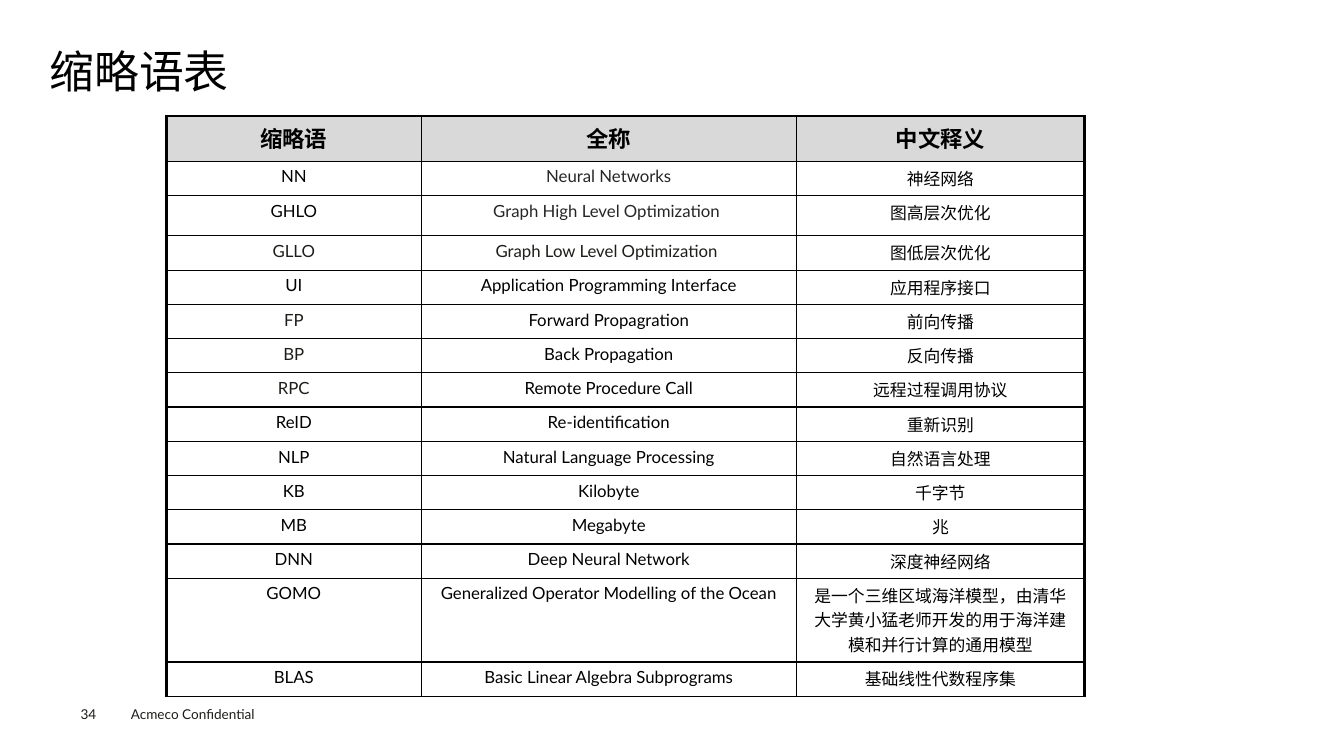
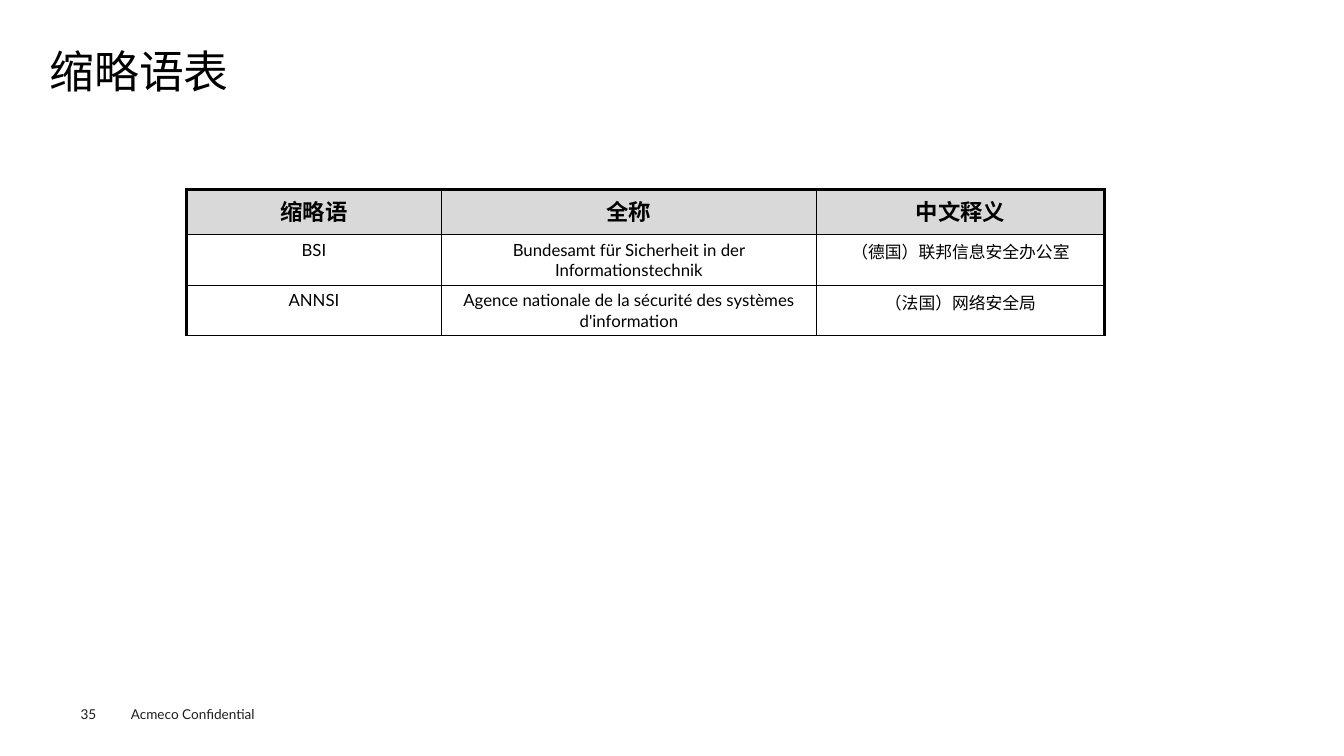
"""Build two slides that list abbreviations in bordered tables."""
from lxml import etree
from pptx import Presentation
from pptx import util as u
from pptx.dml.color import RGBColor
from pptx.enum import lang, text
from pptx.oxml.ns import qn

PX = 9144
FONT = "Lato"
COLORS = {"black": "000000", "dark": "1D1D1A", "gray": "262626",
          "foot": "1D1D1B", "head": "D9D9D9"}
TITLE = "缩略语表"
FOOTER = "Acmeco Confidential"
HEADS = ("缩略语", "全称", "中文释义")
COLS = (253, 372, 286)
LAST = len(COLS) - 1
HEAD_H = 45
THIN, THICK = 1, 2.25

PAGES = [
    (34, 165, 115, [
        (34, "NN", "Neural Networks", "神经网络"),
        (40, "GHLO", "Graph High Level Optimization ", "图高层次优化"),
        (34, "GLLO", "Graph Low Level Optimization ", "图低层次优化"),
        (34, "UI", "Application Programming Interface", "应用程序接口"),
        (34, "FP", "Forward Propagration", "前向传播"),
        (34, "BP", "Back Propagation", "反向传播"),
        (34, "RPC", "Remote Procedure Call", "远程过程调用协议"),
        (34, "ReID", "Re-identification", "重新识别"),
        (34, "NLP", "Natural Language Processing", "自然语言处理"),
        (34, "KB", "Kilobyte", "千字节"),
        (34, "MB", "Megabyte", "兆"),
        (34, "DNN", "Deep Neural Network", "深度神经网络"),
        (83, "GOMO", "Generalized Operator Modelling of the Ocean",
         "是一个三维区域海洋模型，由清华大学黄小猛老师开发的用于海洋建模和并行计算的通用模型"),
        (34, "BLAS", "Basic Linear Algebra Subprograms", "基础线性代数程序集"),
    ]),
    (35, 185, 188, [
        (50, "BSI", "Bundesamt für Sicherheit in der Informationstechnik",
         "（德国）联邦信息安全办公室"),
        (50, "ANNSI", "Agence nationale de la sécurité des systèmes d'information",
         "（法国）网络安全局"),
    ]),
]
TINTS = {"Neural Networks": "gray", "Graph High Level Optimization ": "gray",
         "GLLO": "dark", "Graph Low Level Optimization ": "dark",
         "FP": "dark", "BP": "dark", "RPC": "dark"}


def write(para, words, size, color, bold=False):
    run = para.add_run()
    run.text = words
    font = run.font
    font.name, font.size, font.bold = FONT, u.Pt(size), bold
    font.color.rgb = RGBColor.from_string(COLORS[color])
    font.language_id = lang.MSO_LANGUAGE_ID.SIMPLIFIED_CHINESE
    east = etree.SubElement(font._element, qn("a:ea"))
    east.set("typeface", FONT)


def edge(cell, side, width):
    line = etree.SubElement(cell._tc.get_or_add_tcPr(), qn("a:ln" + side))
    line.set("w", str(u.Pt(width)))
    fill = etree.SubElement(line, qn("a:solidFill"))
    etree.SubElement(fill, qn("a:srgbClr")).set("val", COLORS["black"])


deck = Presentation()
deck.slide_width, deck.slide_height = u.Emu(12192000), u.Emu(750 * PX)

for page, left, top, terms in PAGES:
    slide = deck.slides.add_slide(deck.slide_layouts[6])
    labels = [
        (FOOTER, (120, 695, 160, 27), 9.7, "foot", (10, 5), 1),
        (str(page), (80, 700, 55, 16), 9.7, "foot", (0, 0), 1),
        (TITLE, (49, 49, 1235, 54), 32, "black", (0, 0), 0.9),
    ]
    for words, place, size, color, inset, space in labels:
        frame = slide.shapes.add_textbox(*(n * PX for n in place)).text_frame
        frame.word_wrap = True
        frame.margin_left = frame.margin_right = inset[0] * PX
        frame.margin_top = frame.margin_bottom = inset[1] * PX
        para = frame.paragraphs[0]
        para.line_spacing = space
        write(para, words, size, color)

    rows = [(HEAD_H, *HEADS), *terms]
    high = sum(row[0] for row in rows)
    table = slide.shapes.add_table(len(rows), len(COLS), left * PX, top * PX,
                                   sum(COLS) * PX, high * PX).table
    table.first_row = table.horz_banding = False
    for col, wide in zip(table.columns, COLS):
        col.width = wide * PX
    for r, (tall, *words) in enumerate(rows):
        table.rows[r].height = tall * PX
        head = r == 0
        for c, word in enumerate(words):
            cell = table.cell(r, c)
            cell.margin_left = cell.margin_right = 10 * PX
            cell.margin_top = cell.margin_bottom = 5 * PX
            edge(cell, "L", THICK if c == 0 else THIN)
            edge(cell, "R", THICK if c == LAST else THIN)
            edge(cell, "T", THICK if head else THIN)
            edge(cell, "B", THIN)
            para = cell.text_frame.paragraphs[0]
            para.alignment = text.PP_ALIGN.CENTER
            if head:
                cell.fill.solid()
                cell.fill.fore_color.rgb = RGBColor.from_string(COLORS["head"])
                cell.vertical_anchor = text.MSO_ANCHOR.MIDDLE
            else:
                cell.fill.background()
                if c == LAST:
                    cell.margin_top = 3 * PX
                    para.line_spacing = u.Pt(17.5)
            write(para, word, 16 if head else 12, TINTS.get(word, "black"), head)

deck.save("out.pptx")
